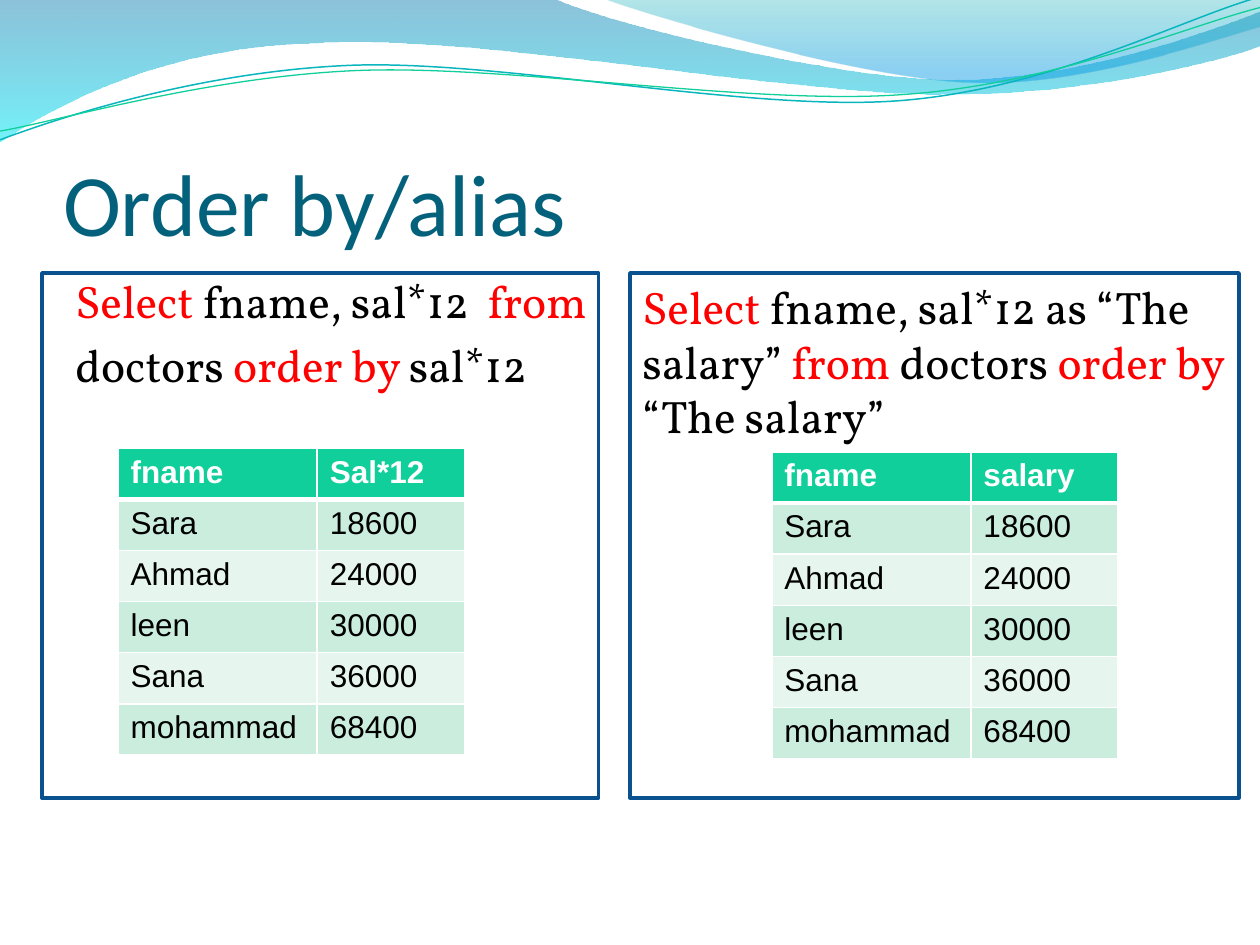
from lxml.etree import SubElement
from pptx import Presentation
from pptx.dml.color import RGBColor as Rgb
from pptx.enum.shapes import MSO_SHAPE as Shape
from pptx.enum.text import MSO_ANCHOR as Anchor, PP_ALIGN as Align
from pptx.oxml.ns import qn
from pptx.util import Pt

WHITE = Rgb(0xFF, 0xFF, 0xFF)
BLACK = Rgb(0x00, 0x00, 0x00)
RED = Rgb(0xFF, 0x00, 0x00)
TITLE_TEAL = Rgb(0x04, 0x61, 0x7B)
FRAME_BLUE = Rgb(0x0A, 0x51, 0x90)
HEADER_GREEN = Rgb(0x10, 0xCF, 0x9B)
BAND_DARK = Rgb(0xCA, 0xED, 0xDE)
BAND_LIGHT = Rgb(0xE6, 0xF6, 0xEF)
WAVE_TOP = Rgb(0x00, 0x79, 0xAD)
WAVE_BOTTOM = Rgb(0x00, 0xE9, 0xF7)
CREST_TOP = Rgb(0x00, 0xAB, 0xB4)
CREST_BOTTOM = Rgb(0x00, 0x99, 0xE4)
STRAND_TEAL = Rgb(0x09, 0xB6, 0xBE)

COLUMN_WIDTHS = (113.8, 84.2)
ROW_HEIGHT = 29.2
RESULT_SIZE = 236.2
SALARIES = [("Sara", "18600"), ("Ahmad", "24000"), ("leen", "30000"),
            ("Sana", "36000"), ("mohammad", "68400")]

WAVE = [(0, 0), (316.8, -0.7),
        (342.7, 12.2, 478.1, 45.4, 545.8, 45.4),
        (614.2, 45.4, 689.8, 18.7, 720, 6.5), (720.7, 25.9),
        (707.8, 31.7, 626.4, 54.7, 537.1, 54),
        (447.8, 54, 275, 20.2, 185, 24.5),
        (92.9, 25.9, 33.1, 59.8, -0.7, 81.4)]
CREST = [(344.9, -0.7), (366.5, 7.9, 491, 44.6, 553.7, 46.8),
         (616.3, 49.7, 691.9, 23, 720, 15.1), (720, 0)]
UPPER_STRAND = [(0, 79.9), (34.6, 67, 113.8, 41, 199.4, 37.4),
                (284.4, 33.8, 427, 64.1, 513.4, 57.6),
                (599.8, 51.1, 675.4, 10.8, 718.6, -1.4)]
LOWER_STRAND = [(0, 74.9), (33.8, 69.1, 118.1, 43.9, 203.8, 40.3),
                (290.2, 36.7, 429.8, 60.5, 516.2, 54),
                (601.9, 48.2, 677.5, 15.1, 720, 4.3)]


def write(paragraph, text, font="Arial", size=18, color=BLACK, bold=False):
    """Append a formatted run to a paragraph."""
    run = paragraph.add_run()
    run.text = text
    run.font.name, run.font.size, run.font.bold = font, Pt(size), bold
    run.font.color.rgb = color


def add_outline(slide, left, top, outline, close):
    """Draw lines and cubic curves offset from the given corner."""
    start, *rest = [(Pt(left + x), Pt(top + y)) for segment in outline
                    for x, y in zip(segment[::2], segment[1::2])]
    builder = slide.shapes.build_freeform(*start)
    builder.add_line_segments(rest, close=close)
    form = builder.convert_to_shape()
    form.shadow.inherit = False
    steps = iter(list(form.element.spPr.iter(qn("a:lnTo"))))
    for segment in outline[1:]:
        step = next(steps)
        if len(segment) == 6:
            curve = step.makeelement(qn("a:cubicBezTo"))
            step.addprevious(curve)
            for control in (step, next(steps), next(steps)):
                curve.append(control[0])
                control.getparent().remove(control)
    return form


def add_waves(slide, left, top):
    """Draw the translucent waves and the two strands below them."""
    bands = [(WAVE, (WAVE_TOP, 0, 45), (WAVE_BOTTOM, 1, 55)),
             (CREST, (CREST_TOP, 0, 30), (CREST_BOTTOM, 0.8, 45))]
    for outline, *colors in bands:
        band = add_outline(slide, left, top, outline, True)
        band.line.fill.background()
        band.fill.gradient()
        band.fill.gradient_angle = 270
        for stop, (color, position, _) in zip(band.fill.gradient_stops, colors):
            stop.color.rgb, stop.position = color, position
        for rgb, (_, _, opacity) in zip(band.element.spPr.iter(qn("a:srgbClr")), colors):
            SubElement(rgb, qn("a:alpha"), val=str(opacity * 1000))
    for outline, color, width in [(UPPER_STRAND, STRAND_TEAL, 0.85),
                                  (LOWER_STRAND, HEADER_GREEN, 0.75)]:
        strand = add_outline(slide, left, top, outline, False)
        strand.fill.background()
        strand.line.color.rgb, strand.line.width = color, Pt(width)


def place_title(slide, left, top, width, height, text):
    """Position the title placeholder and fill it."""
    title = slide.shapes.title
    title.left, title.top, title.width, title.height = map(Pt, (left, top, width, height))
    frame = title.text_frame
    frame.vertical_anchor = Anchor.BOTTOM
    frame.margin_left = frame.margin_right = frame.margin_bottom = 0
    frame.margin_top = Pt(3.6)
    frame.paragraphs[0].alignment = Align.LEFT
    write(frame.paragraphs[0], text, font="Calibri", size=50, color=TITLE_TEAL)


def add_query(slide, left, top, width, height, lines):
    """Write a query, one paragraph per list of coloured pieces."""
    frame = slide.shapes.add_textbox(*map(Pt, (left, top, width, height))).text_frame
    frame.word_wrap = True
    for index, pieces in enumerate(lines):
        paragraph = frame.add_paragraph() if index else frame.paragraphs[0]
        paragraph.space_before = Pt(5.2 if index else 0)
        for text, color in pieces:
            write(paragraph, text, font="Vollkorn", size=26, color=color)


def set_borders(cell, **widths):
    """Give a cell white borders of the given widths in points."""
    properties = cell._tc.get_or_add_tcPr()
    for side in "LRTB":
        border = SubElement(properties, qn(f"a:ln{side}"), w=str(Pt(widths.get(side, 1))))
        fill = SubElement(border, qn("a:solidFill"))
        SubElement(fill, qn("a:srgbClr"), val=str(WHITE))


def add_result(slide, left, top, header):
    """Build the table of query results under the given header."""
    rows = [header, *SALARIES]
    holder = slide.shapes.add_table(
        len(rows), len(header), *map(Pt, (left, top, RESULT_SIZE, RESULT_SIZE)))
    table = holder.table
    for column, width in zip(table.columns, COLUMN_WIDTHS):
        column.width = Pt(width)
    for r, values in enumerate(rows):
        table.rows[r].height = Pt(ROW_HEIGHT)
        band = BAND_DARK if r % 2 else BAND_LIGHT
        for c, value in enumerate(values):
            cell = table.cell(r, c)
            set_borders(cell, T=3 if r == 1 else 1, B=3 if r == 0 else 1)
            cell.fill.solid()
            cell.fill.fore_color.rgb = band if r else HEADER_GREEN
            write(cell.text_frame.paragraphs[0], value,
                  color=BLACK if r else WHITE, bold=r == 0)
    holder.width = holder.height = Pt(RESULT_SIZE)


def add_panel(slide, left, top, width, height, query, query_box, header, result_at):
    """Place a query and its result inside a framed panel."""
    dx, dy, query_width, query_height = query_box
    add_query(slide, left + dx, top + dy, query_width, query_height, query)
    add_result(slide, left + result_at[0], top + result_at[1], header)
    frame = slide.shapes.add_shape(Shape.RECTANGLE, *map(Pt, (left, top, width, height)))
    frame.shadow.inherit = False
    frame.fill.background()
    frame.line.color.rgb, frame.line.width = FRAME_BLUE, Pt(2)


def main():
    """Build the slide and save it."""
    deck = Presentation()
    deck.slide_width, deck.slide_height = Pt(720), Pt(540)
    slide = deck.slides.add_slide(deck.slide_layouts[5])
    add_waves(slide, 0, 0)
    place_title(slide, 36, 55.4, 648, 90, "Order by/alias")
    plain_query = [
        [("Select", RED), (" fname, sal*12  ", BLACK), ("from", RED)],
        [("doctors ", BLACK), ("order by ", RED), ("sal*12", BLACK)]]
    alias_query = [
        [("Select", RED), (" fname, sal*12 as “The salary” ", BLACK), ("from", RED),
         (" doctors ", BLACK), ("order by ", RED), ("“The salary”", BLACK)]]
    add_panel(slide, 24, 156, 318, 300, plain_query, (12, -3.4, 648, 345.6),
              ("fname", "Sal*12"), (43.5, 100.2))
    add_panel(slide, 360, 156, 348, 300, alias_query, (0, 0, 360, 101.5),
              ("fname", "salary"), (81, 102.3))
    deck.save("out.pptx")


if __name__ == "__main__":
    main()
